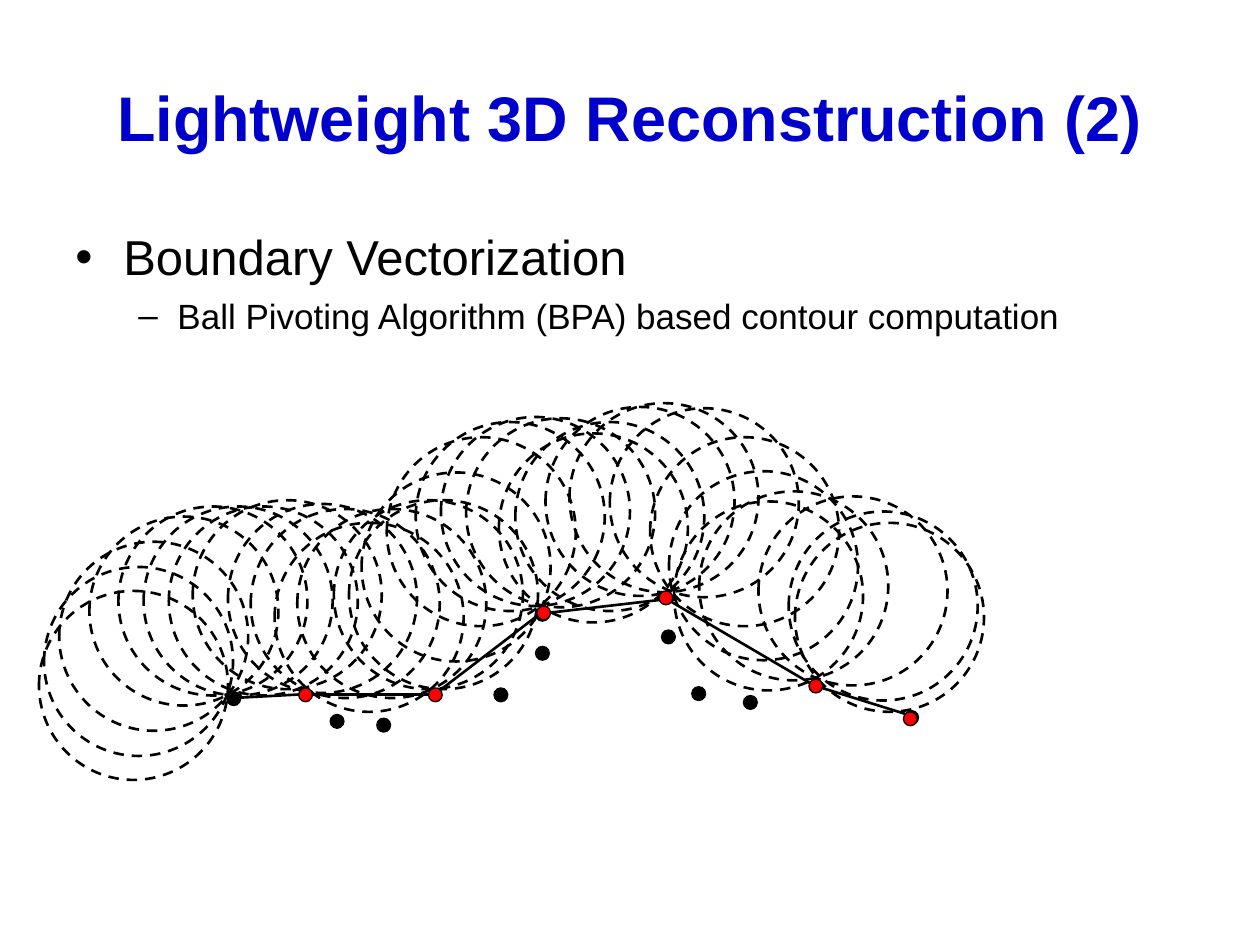
from lxml import etree
from pptx import Presentation
from pptx.dml.color import RGBColor
from pptx.enum.dml import MSO_LINE
from pptx.enum.shapes import MSO_CONNECTOR, MSO_SHAPE
from pptx.enum.text import MSO_ANCHOR, PP_ALIGN
from pptx.oxml.ns import qn
from pptx.util import Inches, Pt

BLACK = RGBColor(0x00, 0x00, 0x00)
RED = RGBColor(0xFF, 0x00, 0x00)
BLUE = RGBColor(0x00, 0x00, 0xCC)

BALL_SIZE = 1.5
DOT_SIZE = 0.11

# Left and top of the pivoting ball at each step, along the contour
BALLS = [
    (0.31, 4.69), (0.35, 4.5), (0.47, 4.3), (0.71, 4.1), (0.94, 4.02),
    (1.14, 4.02), (1.34, 4.02), (1.53, 3.97), (1.81, 4), (1.99, 4.04),
    (2.18, 4.15), (2.36, 4.04), (2.65, 3.97), (2.77, 3.97), (2.87, 3.75),
    (3.07, 3.47), (3.3, 3.35), (3.5, 3.31), (3.7, 3.32), (3.96, 3.44),
    (4.09, 3.35), (4.33, 3.23), (4.52, 3.2), (4.84, 3.24), (5.16, 3.47),
    (5.31, 3.74), (5.35, 3.98), (5.55, 3.9), (6.02, 3.94), (6.26, 4.06),
    (6.31, 4.15),
]
CONTOUR_EDGES = [
    (1.85, 5.54, 2.41, 5.51), (2.41, 5.51, 3.45, 5.51),
    (4.3, 4.86, 3.45, 5.51), (4.3, 4.87, 5.25, 4.76),
    (5.3, 4.76, 6.46, 5.44), (6.46, 5.44, 7.23, 5.68),
]
SAMPLE_POINTS = [
    (1.8, 5.49), (2.62, 5.67), (2.99, 5.7), (3.92, 5.46), (4.25, 5.13),
    (4.25, 4.82), (5.25, 5), (5.49, 5.45), (5.9, 5.52), (7.18, 5.64),
]
CONTOUR_POINTS = [
    (2.37, 5.46), (3.4, 5.46), (4.26, 4.81), (5.23, 4.69), (6.42, 5.39),
    (7.17, 5.65),
]

deck = Presentation()
deck.slide_width, deck.slide_height = Inches(10), Inches(7.5)
page = deck.slides.add_slide(deck.slide_layouts[6])


def add_circle(left, top, size, line_width):
    circle = page.shapes.add_shape(
        MSO_SHAPE.OVAL, Inches(left), Inches(top), Inches(size), Inches(size))
    circle.shadow.inherit = False
    circle.line.color.rgb = BLACK
    circle.line.width = Pt(line_width)
    return circle


def add_run(para, text, size, color):
    span = para.add_run()
    span.text = text
    span.font.name = "Arial"
    span.font.size = Pt(size)
    span.font.color.rgb = color
    return span


# Ball positions and the contour they trace
for left, top in BALLS:
    ball = add_circle(left, top, BALL_SIZE, 1.5)
    ball.fill.background()
    ball.line.dash_style = MSO_LINE.DASH

for ends in CONTOUR_EDGES:
    edge = page.shapes.add_connector(
        MSO_CONNECTOR.STRAIGHT, *[Inches(value) for value in ends])
    edge.line.color.rgb = BLACK
    edge.line.width = Pt(1.5)
    etree.SubElement(edge._element.spPr, qn("a:effectLst"))

for points, color in ((SAMPLE_POINTS, BLACK), (CONTOUR_POINTS, RED)):
    for left, top in points:
        dot = add_circle(left, top, DOT_SIZE, 0.75)
        dot.fill.solid()
        dot.fill.fore_color.rgb = color

# Title
title_box = page.shapes.add_textbox(
    Inches(0.5), Inches(0.3), Inches(9), Inches(1.25))
title_box.text_frame.word_wrap = True
title_box.text_frame.vertical_anchor = MSO_ANCHOR.MIDDLE
title = title_box.text_frame.paragraphs[0]
title.alignment = PP_ALIGN.CENTER
add_run(title, "Lightweight 3D Reconstruction (2)", 36, BLUE).font.bold = True

# Bulleted text
body_box = page.shapes.add_textbox(
    Inches(0.5), Inches(1.75), Inches(8.42), Inches(4.95))
body = body_box.text_frame
body.word_wrap = True
bullets = [
    ("Boundary Vectorization", 28, "•", 0.38, 0.38, 7),
    ("Ball Pivoting Algorithm (BPA) based contour computation",
     20, "–", 0.81, 0.31, 5),
]
for level, (text, size, mark, margin, hanging, space) in enumerate(bullets):
    para = body.paragraphs[0] if level == 0 else body.add_paragraph()
    para.level = level
    para.space_before = Pt(space)
    add_run(para, text, size, BLACK)
    properties = para._p.get_or_add_pPr()
    properties.set("marL", str(Inches(margin)))
    properties.set("indent", str(-Inches(hanging)))
    etree.SubElement(properties, qn("a:buFont"), typeface="Arial")
    etree.SubElement(properties, qn("a:buChar"), char=mark)

deck.save("out.pptx")
